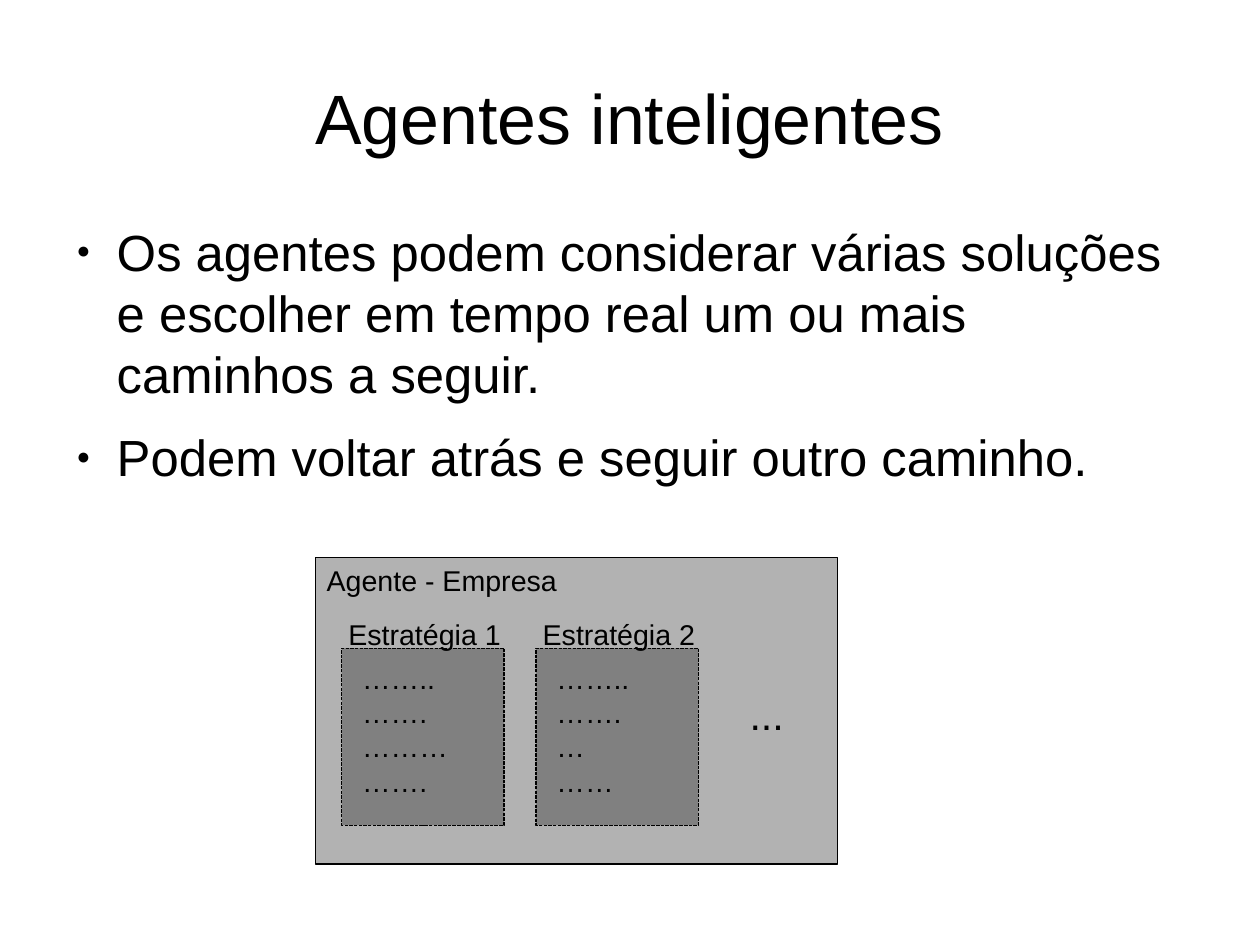
from lxml.etree import SubElement
from pptx import Presentation
from pptx.dml.color import RGBColor
from pptx.enum.dml import MSO_LINE_DASH_STYLE as Dash
from pptx.enum.shapes import MSO_SHAPE as Shape
from pptx.enum.text import MSO_ANCHOR as Anchor, MSO_AUTO_SIZE as Auto, PP_ALIGN as Align
from pptx.oxml.ns import qn
from pptx.util import Cm, Inches, Pt

# Content
TITLE = "Agentes inteligentes"
POINTS = [
    "Os agentes podem considerar várias soluções e escolher em tempo real "
    "um ou mais caminhos a seguir.",
    "Podem voltar atrás e seguir outro caminho.",
]
AGENT = "Agente - Empresa"
STRATEGIES = [
    ("Estratégia 1", ["……..", "…….", "………", "……."]),
    ("Estratégia 2", ["……..", "…….", "…", "……"]),
]
MORE = "..."

# Format
BLACK = RGBColor(0x00, 0x00, 0x00)
LIGHT_GREY = RGBColor(0xB2, 0xB2, 0xB2)
DARK_GREY = RGBColor(0x80, 0x80, 0x80)

# Layout: slide in centimetres, parts in inches
WIDTH, HEIGHT = Cm(28), Cm(21)
MARGIN, CONTENT_WIDTH = WIDTH.inches * 0.05, WIDTH.inches * 0.9
AGENT_LEFT, AGENT_TOP = 2.76, 4.88
COLUMN_LEFT, COLUMN_STEP = AGENT_LEFT + 0.23, 1.7
COLUMN_TOP = AGENT_TOP + 0.79


def place(sp, left, top, width, height):
    sp.left, sp.top, sp.width, sp.height = map(Inches, (left, top, width, height))


def write(tf, lines, size, wrap=True):
    tf.word_wrap = wrap
    tf.auto_size = Auto.NONE
    for i, line in enumerate(lines):
        p = tf.paragraphs[0] if i == 0 else tf.add_paragraph()
        p.line_spacing = 1.0
        p.space_before = Pt(0)
        r = p.add_run()
        r.text = line
        for name, value in {"size": Pt(size), "name": "Arial"}.items():
            setattr(r.font, name, value)
        r.font.color.rgb = BLACK


def add_text(lines, left, top, width, height, size=18, wrap=True):
    box = slide.shapes.add_textbox(*map(Inches, (left, top, width, height)))
    write(box.text_frame, lines, size, wrap)


def add_box(left, top, width, height, fill, dash=None):
    sp = slide.shapes.add_shape(Shape.RECTANGLE, *map(Inches, (left, top, width, height)))
    sp.shadow.inherit = False
    sp.fill.solid()
    sp.fill.fore_color.rgb = fill
    sp.line.color.rgb = BLACK
    sp.line.width = Pt(0)
    if dash:
        sp.line.dash_style = dash


def add_bullet(p):
    pPr = p._p.get_or_add_pPr()
    pPr.set("marL", str(Inches(0.47)))
    pPr.set("indent", str(Inches(-0.35)))
    SubElement(pPr, qn("a:buSzPct"), val="45000")
    SubElement(pPr, qn("a:buFont"), typeface="Arial")
    SubElement(pPr, qn("a:buChar"), char="●")


prs = Presentation()
prs.slide_width, prs.slide_height = WIDTH, HEIGHT
slide = prs.slides.add_slide(prs.slide_layouts[1])
title, body = slide.placeholders

# Title and bullet list
place(title, MARGIN, 0.33, CONTENT_WIDTH, 1.38)
place(body, MARGIN, 1.93, CONTENT_WIDTH, 4.79)
for sp, lines, size, anchor in [
    (title, [TITLE], 44, Anchor.MIDDLE),
    (body, POINTS, 32, Anchor.TOP),
]:
    tf = sp.text_frame
    for side in ("left", "top", "right", "bottom"):
        setattr(tf, f"margin_{side}", 0)
    tf.vertical_anchor = anchor
    write(tf, lines, size)
title.text_frame.paragraphs[0].alignment = Align.CENTER
for i, p in enumerate(body.text_frame.paragraphs):
    p.space_before = Pt(14.2 if i else 0)
    add_bullet(p)

# Agent frame
add_box(AGENT_LEFT, AGENT_TOP, 4.57, 2.68, LIGHT_GREY)
add_text([AGENT], AGENT_LEFT, AGENT_TOP, 2.36, 0.66)

# Strategy columns
for i, (name, steps) in enumerate(STRATEGIES):
    left = COLUMN_LEFT + i * COLUMN_STEP
    add_box(left, COLUMN_TOP, 1.42, 1.55, DARK_GREY, Dash.SQUARE_DOT)
    add_text([name], left - 0.04, COLUMN_TOP - 0.32, 1.53, 0.38, wrap=False)
    add_text(steps, left + 0.08, COLUMN_TOP + 0.06, 1.26, 1.22)
add_text([MORE], 6.46, 5.98, 0.5, 0.5, size=26, wrap=False)

prs.save("out.pptx")
